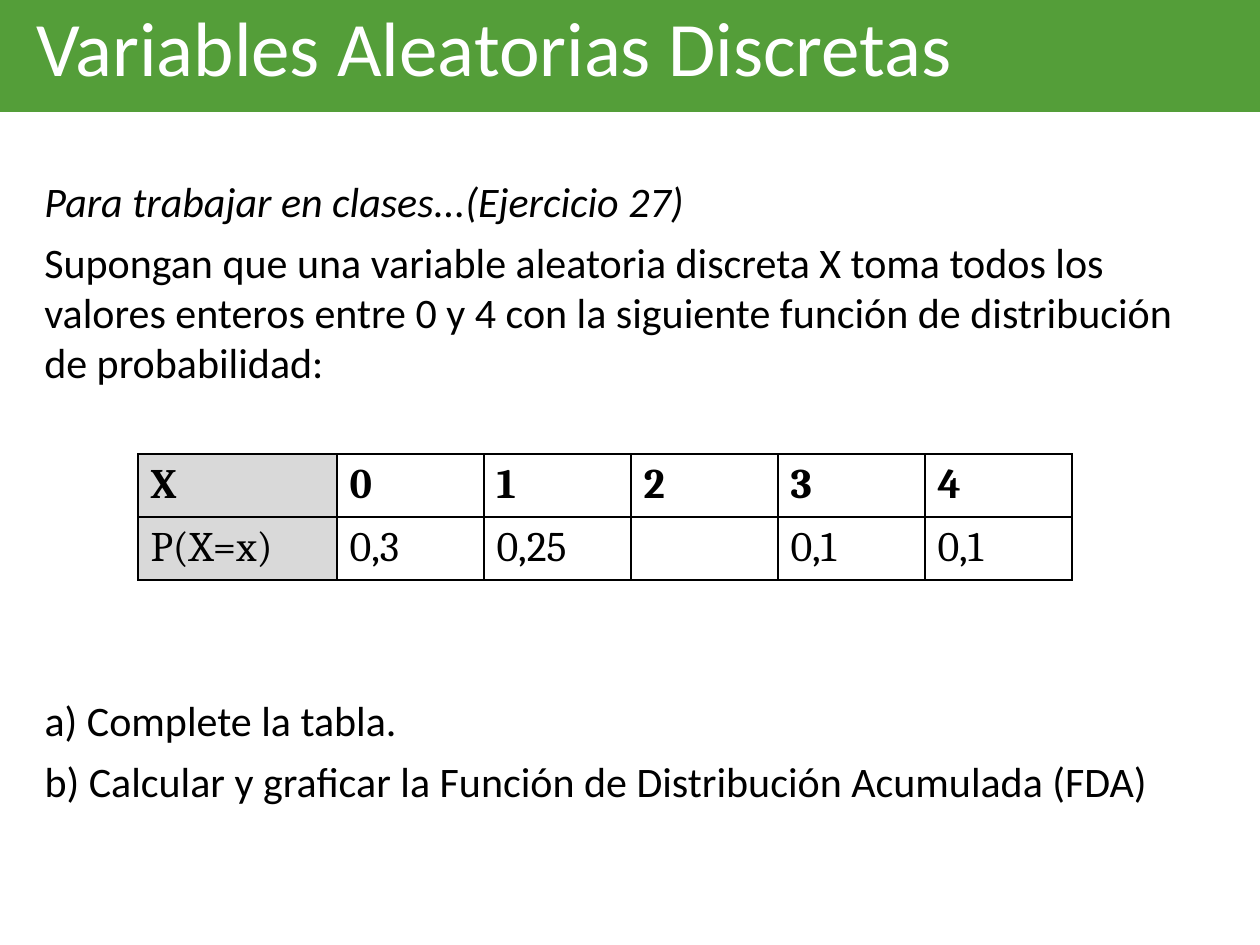
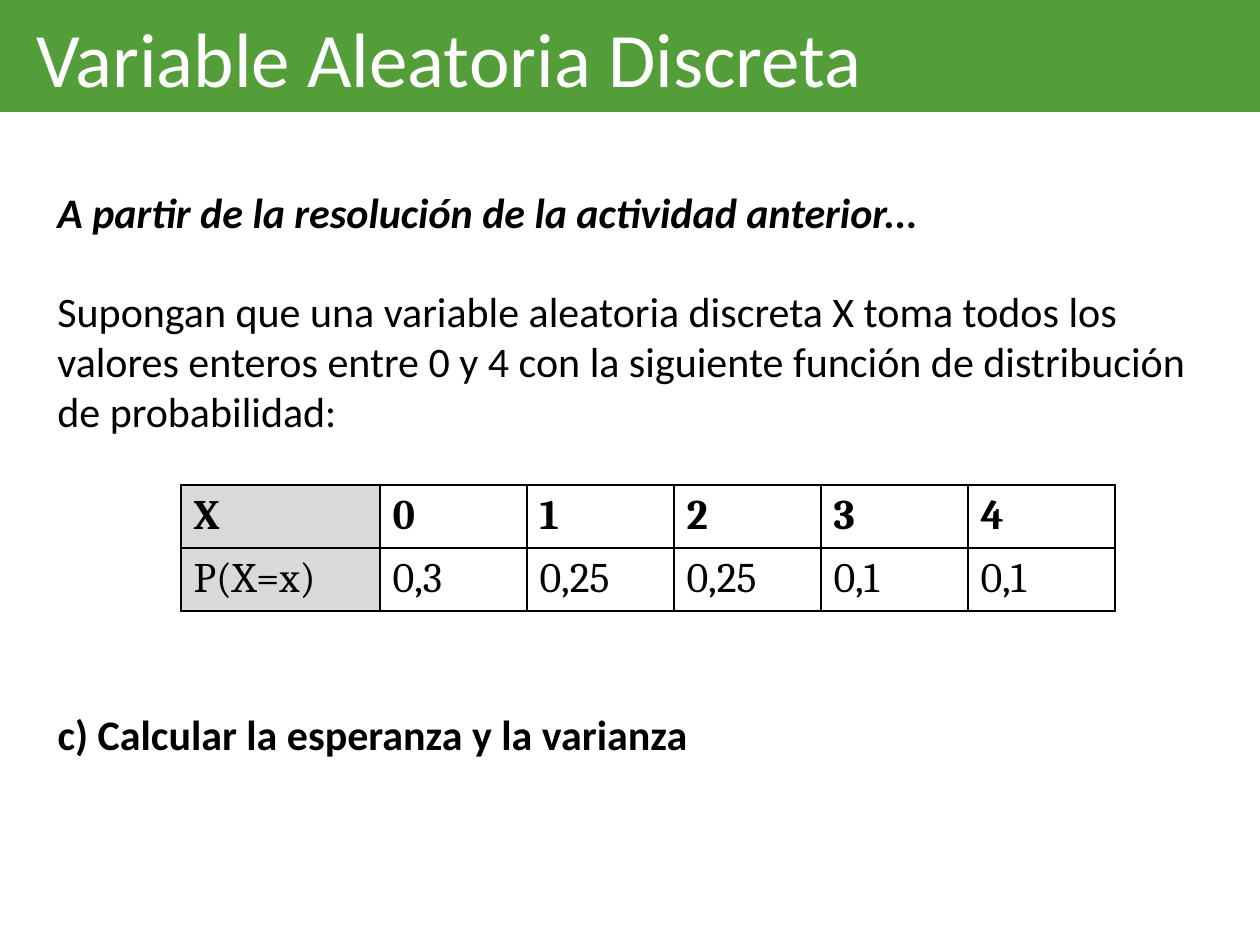
"""Two slides on a discrete random variable and its probability table."""
from lxml.etree import SubElement
from pptx import Presentation
from pptx.dml.color import RGBColor
from pptx.enum.text import MSO_ANCHOR, MSO_AUTO_SIZE, PP_ALIGN
from pptx.oxml.ns import qn
from pptx.util import Pt

PX = 914400 / 126
GREEN = RGBColor(0x54, 0x9E, 0x39)
GREY = RGBColor(0xD9, 0xD9, 0xD9)
BLACK = RGBColor(0, 0, 0)
WHITE = RGBColor(255, 255, 255)
TEXT_FONT, TABLE_FONT = "Calibri", "Cambria"
TEXT_SIZE, TITLE_SIZE = 24, 44
SLIDE_SIZE = (1260, 945)
BAND = (0, 0, 1260, 112)
COLUMNS = [199] + [147] * 5
ROW_HEIGHT = 63

STATEMENT = (
    "Supongan que una variable aleatoria discreta X toma todos los valores enteros "
    "entre 0 y 4 con la siguiente función de distribución de probabilidad:"
)
VALUES = ["X", "0", "1", "2", "3", "4"]

SLIDES = [
    {
        "title": "Variables Aleatorias Discretas",
        "title_spacing": 0.9,
        "texts": [
            ((32, 169, 1196, 227), [
                ("Para trabajar en clases...(Ejercicio 27)", {"italic": True}),
                (STATEMENT, {}),
            ]),
        ],
        "table_at": (138, 454),
        "probabilities": ["P(X=x)", "0,3", "0,25", "", "0,1", "0,1"],
        "questions_at": (32, 688, 1196, 125),
        "questions": [
            ("a) Complete la tabla.", {}),
            ("b) Calcular y graficar la Función de Distribución Acumulada (FDA)", {}),
        ],
    },
    {
        "title": "Variable Aleatoria Discreta",
        "title_spacing": 1.0,
        "texts": [
            ((45, 180, 975, 63), [
                ("A partir de la resolución de la actividad anterior...",
                 {"bold": True, "italic": True}),
            ]),
            ((45, 279, 1177, 165), [(STATEMENT, {})]),
        ],
        "table_at": (181, 485),
        "probabilities": ["P(X=x)", "0,3", "0,25", "0,25", "0,1", "0,1"],
        "questions_at": (45, 702, 929, 63),
        "questions": [("c) Calcular la esperanza y la varianza", {"bold": True})],
    },
]


def emu(*lengths):
    return [round(length * PX) for length in lengths]


def place(shape, area):
    shape.left, shape.top, shape.width, shape.height = emu(*area)


def add_span(para, text, font=TEXT_FONT, size=TEXT_SIZE, color=BLACK, bold=False, italic=False):
    span = para.add_run()
    span.text = text
    span.font.name = font
    span.font.size = Pt(size)
    span.font.color.rgb = color
    span.font.bold = bold
    span.font.italic = italic


def write_paragraphs(frame, lines):
    frame.word_wrap = True
    frame.auto_size = MSO_AUTO_SIZE.NONE
    frame.vertical_anchor = MSO_ANCHOR.TOP
    for index, (text, style) in enumerate(lines):
        para = frame.paragraphs[0] if index == 0 else frame.add_paragraph()
        properties = para._p.get_or_add_pPr()
        properties.set("marL", "0")
        properties.set("indent", "0")
        SubElement(properties, qn("a:buNone"))
        para.alignment = PP_ALIGN.LEFT
        para.space_before = Pt(0)
        para.space_after = Pt(6)
        add_span(para, text, **style)


def add_title(page, text, spacing):
    band = page.shapes.title
    place(band, BAND)
    band.fill.solid()
    band.fill.fore_color.rgb = GREEN
    frame = band.text_frame
    frame.auto_size = MSO_AUTO_SIZE.NONE
    frame.vertical_anchor = MSO_ANCHOR.TOP
    frame.margin_left, frame.margin_top = emu(36, 10)
    para = frame.paragraphs[0]
    para.alignment = PP_ALIGN.LEFT
    para.line_spacing = spacing
    add_span(para, text, size=TITLE_SIZE, color=WHITE)


def draw_borders(cell):
    properties = cell._tc.get_or_add_tcPr()
    for side in ("lnL", "lnR", "lnT", "lnB"):
        line = SubElement(properties, qn(f"a:{side}"), w=str(Pt(1)))
        fill = SubElement(line, qn("a:solidFill"))
        SubElement(fill, qn("a:srgbClr"), val=str(BLACK))


def add_probability_table(page, corner, rows):
    area = (*corner, sum(COLUMNS), ROW_HEIGHT * len(rows))
    table = page.shapes.add_table(len(rows), len(COLUMNS), *emu(*area)).table
    table.first_row = table.horz_banding = False
    for column, width in zip(table.columns, emu(*COLUMNS)):
        column.width = width
    for row_index, row in enumerate(rows):
        for column_index, text in enumerate(row):
            cell = table.cell(row_index, column_index)
            draw_borders(cell)
            if column_index == 0:
                cell.fill.solid()
                cell.fill.fore_color.rgb = GREY
            else:
                cell.fill.background()
            if text:
                add_span(cell.text_frame.paragraphs[0], text,
                         font=TABLE_FONT, bold=row_index == 0)


def add_page(deck, content):
    page = deck.slides.add_slide(deck.slide_layouts[1])
    add_title(page, content["title"], content["title_spacing"])
    for area, lines in content["texts"]:
        box = page.shapes.add_textbox(*emu(*area))
        write_paragraphs(box.text_frame, lines)
    add_probability_table(page, content["table_at"], [VALUES, content["probabilities"]])
    questions = page.placeholders[1]
    place(questions, content["questions_at"])
    write_paragraphs(questions.text_frame, content["questions"])


def main():
    deck = Presentation()
    deck.slide_width, deck.slide_height = emu(*SLIDE_SIZE)
    for content in SLIDES:
        add_page(deck, content)
    deck.save("out.pptx")


if __name__ == "__main__":
    main()
